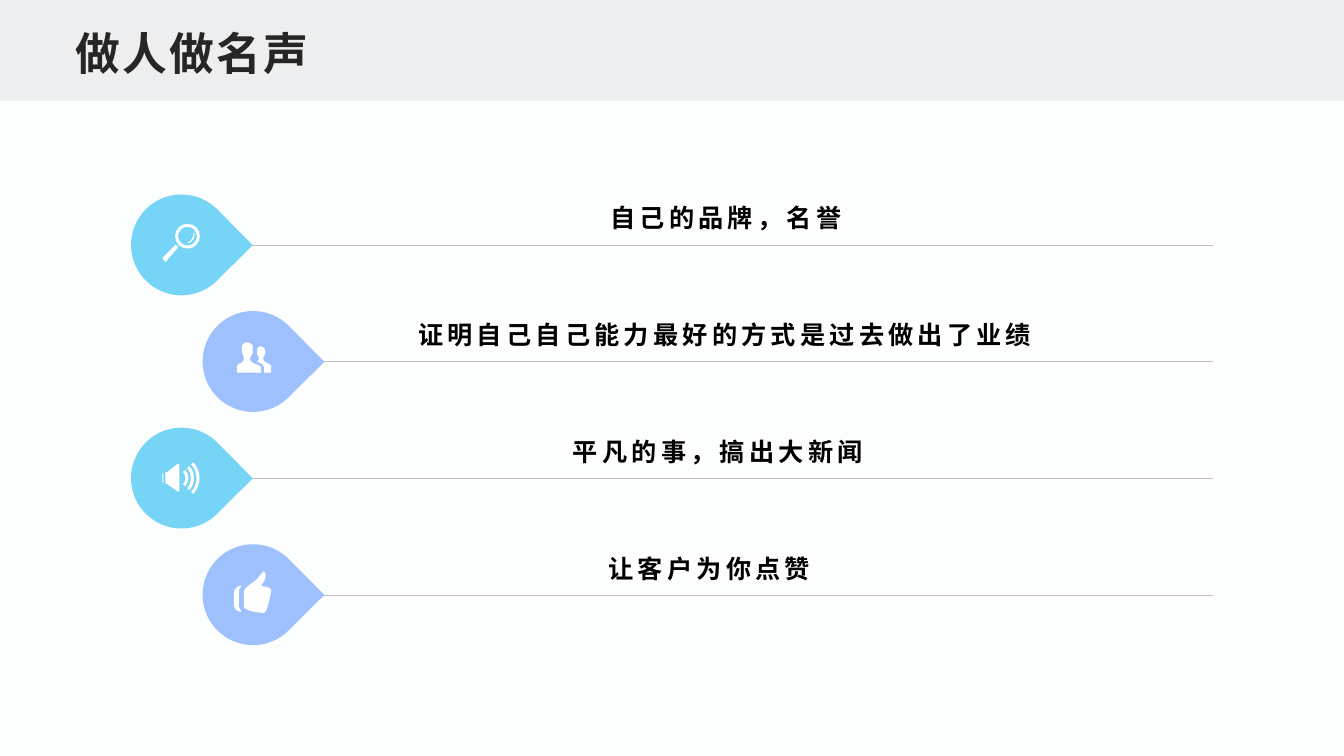
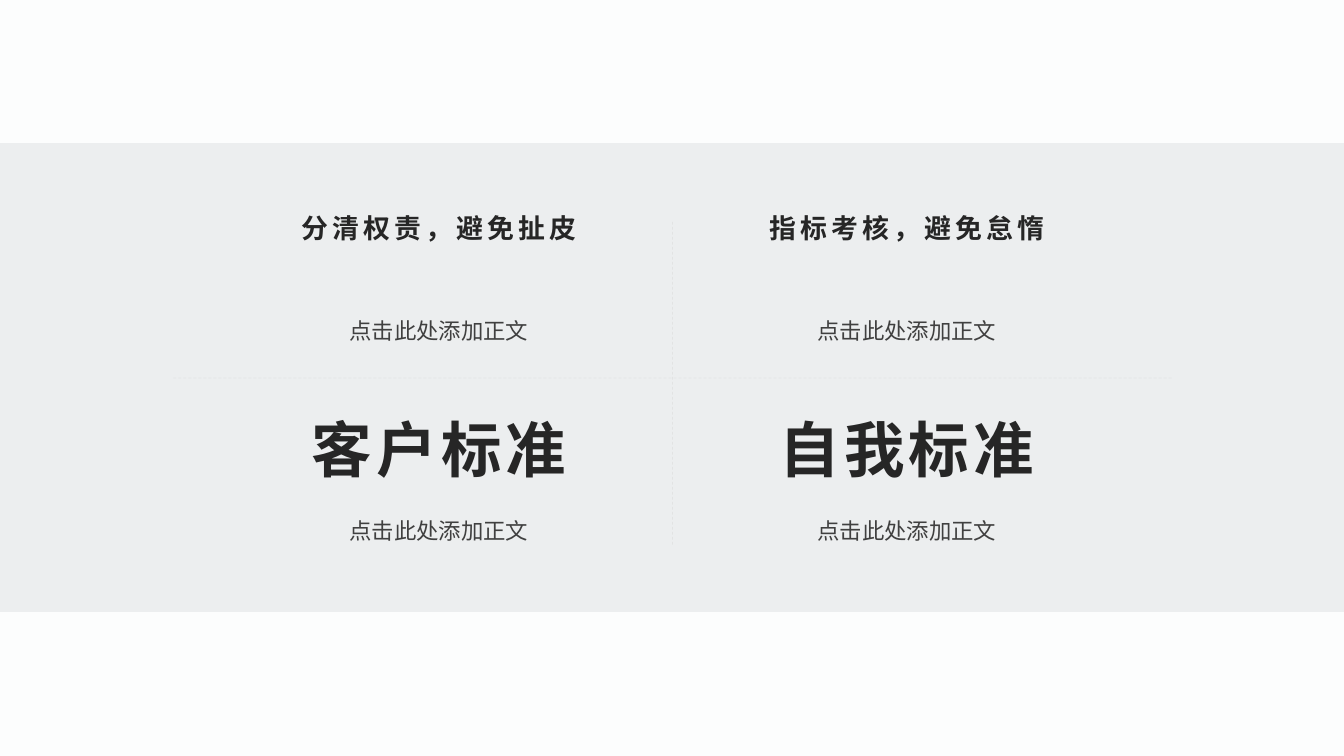
from dataclasses import dataclass
from math import cos, radians, sin, tan

from lxml.etree import SubElement
from pptx import Presentation
from pptx.dml.color import RGBColor as RGB
from pptx.enum.dml import MSO_LINE as Dash
from pptx.enum.lang import MSO_LANGUAGE_ID as Lang
from pptx.enum.shapes import MSO_CONNECTOR as Conn, MSO_SHAPE as Geo
from pptx.enum.text import MSO_ANCHOR as Anchor, MSO_AUTO_SIZE as Auto, PP_ALIGN as Align
from pptx.oxml.ns import qn
from pptx.util import Inches, Pt


@dataclass(frozen=True)
class Style:
    size: float
    color: str
    bold: bool = True
    track: int = 300


@dataclass(frozen=True)
class Theme:
    font: str = "Arial"
    page: str = "FCFDFD"
    band: str = "ECEEEF"
    sky: str = "76D4F6"
    lilac: str = "9EC0FC"
    icon: str = "FFFFFF"
    rule: str = "BFBFBF"
    grid: str = "D9D9D9"
    title: Style = Style(32, "262626", track=150)
    item: Style = Style(18, "000000")
    head: Style = Style(19.2, "262626")
    hero: Style = Style(43.2, "262626")
    body: Style = Style(16, "404040", False, 0)


THEME = Theme()
WIDTH = 13.33


def put_run(para, text, style):
    run = para.add_run()
    run.text = text
    font = run.font
    font.name = THEME.font
    font.size = Pt(style.size)
    font.bold = style.bold
    font.color.rgb = RGB.from_string(style.color)
    font.language_id = Lang.SIMPLIFIED_CHINESE
    props = run._r.get_or_add_rPr()
    props.set("spc", str(style.track))
    SubElement(props, qn("a:ea")).set("typeface", THEME.font)


def add_text(shapes, box, text, style, anchor=Anchor.TOP):
    frame = shapes.add_textbox(*map(Inches, box)).text_frame
    frame.word_wrap = True
    frame.vertical_anchor = anchor
    para = frame.paragraphs[0]
    para.alignment = Align.CENTER
    put_run(para, text, style)
    return para


def paint(shape, color):
    shape.shadow.inherit = False
    shape.fill.solid()
    shape.fill.fore_color.rgb = RGB.from_string(color)
    shape.line.fill.background()
    return shape


def add_shape(slide, geo, box, color):
    return paint(slide.shapes.add_shape(geo, *map(Inches, box)), color)


def add_band(slide, top, height):
    return add_shape(slide, Geo.RECTANGLE, (0, top, WIDTH, height), THEME.band)


def add_line(slide, ends, color, width):
    line = slide.shapes.add_connector(Conn.STRAIGHT, *map(Inches, ends))
    line.line.color.rgb = RGB.from_string(color)
    line.line.width = Pt(width)
    SubElement(line.element.spPr, qn("a:effectLst"))
    return line


def add_dash(slide, ends):
    line = add_line(slide, ends, THEME.grid, 0.5)
    line.line.dash_style = Dash.DASH
    for color in line.element.iter(qn("a:srgbClr")):
        SubElement(color, qn("a:alpha")).set("val", "50000")


def set_title(slide, text):
    title = slide.shapes.title
    title.left, title.top, title.width, title.height = map(Inches, (0.67, 0.16, 12, 0.67))
    frame = title.text_frame
    frame.auto_size = Auto.NONE
    frame.vertical_anchor = Anchor.BOTTOM
    frame.margin_left = frame.margin_right = Inches(0.08)
    frame.margin_top = frame.margin_bottom = Inches(0.04)
    frame.paragraphs[0].alignment = Align.LEFT
    put_run(frame.paragraphs[0], text, THEME.title)


def arc(x, y, size, start, end, count=1):
    step = radians(end - start) / count
    pull = 4 / 3 * tan(step / 4)
    turn = radians(start)
    dots = [(x + size * cos(turn), y + size * sin(turn))]
    for i in range(count):
        a = turn + i * step
        b = a + step
        dots.append((
            x + size * (cos(a) - pull * sin(a)), y + size * (sin(a) + pull * cos(a)),
            x + size * (cos(b) + pull * sin(b)), y + size * (sin(b) - pull * cos(b)),
            x + size * cos(b), y + size * sin(b),
        ))
    return dots


def wave(outer):
    return arc(14, 16, outer, -43, 43) + arc(14, 16, outer - 3, 43, -43)


GLASS = [
    [(13, 21), (16, 23), (3, 38), (0, 34)],
    [(31, 7), (31, 7, 35, 14, 27, 19), (27, 19, 27, 19, 25, 19), (25, 19, 32, 16, 31, 7)],
    arc(25, 12.3, 9.3, 360, 0, 4),
    arc(25, 12.3, 12.3, 0, 360, 4),
]

PEOPLE = [
    [
        (34, 30), (34, 30, 34, 23, 34, 23), (33, 22, 32, 21, 29, 20),
        (27, 19, 26, 18, 26, 16), (26, 15, 27, 15, 27, 13), (27, 12, 28, 13, 28, 11),
        (28, 10, 28, 10, 28, 10), (28, 10, 28, 9, 28, 8), (28, 7, 27, 4, 24, 4),
        (20, 4, 20, 7, 20, 8), (20, 9, 20, 10, 20, 10), (20, 10, 20, 10, 20, 11),
        (20, 13, 20, 12, 21, 13), (21, 15, 22, 15, 22, 16), (22, 17, 21, 18, 20, 19),
        (26, 22, 27, 22, 27, 25), (27, 30, 27, 30, 27, 30),
    ],
    [
        (17, 21), (14, 20, 13, 18, 13, 16), (13, 14, 14, 15, 15, 12),
        (15, 11, 16, 12, 16, 9), (16, 8, 15, 8, 15, 8), (15, 8, 16, 6, 16, 5),
        (16, 4, 15, 0, 10, 0), (6, 0, 5, 4, 5, 5), (5, 6, 5, 8, 5, 8),
        (5, 8, 5, 8, 5, 9), (5, 12, 6, 11, 6, 12), (6, 15, 7, 14, 7, 16),
        (7, 18, 6, 20, 3, 21), (2, 21, 0, 22, 0, 24), (0, 30, 0, 30, 0, 30),
        (24, 30, 24, 30, 24, 30), (24, 30, 24, 26, 24, 25), (24, 24, 21, 22, 17, 21),
    ],
]

SPEAKER = [
    [(1, 11), (1, 11, 1, 11, 1, 21), (0, 21, 0, 20, 0, 20), (0, 18, 0, 15, 0, 13), (0, 12, 0, 11, 1, 11)],
    wave(12),
    wave(17.5),
    [
        (16, 2), (17, 2, 17, 2, 17, 2), (17, 4, 17, 28, 17, 29), (17, 31, 15, 29, 15, 29),
        (15, 29, 15, 29, 5, 22), (5, 22, 4, 22, 3, 21), (3, 21, 3, 21, 3, 10),
        (4, 10, 5, 10, 5, 10), (5, 10, 5, 10, 15, 2), (15, 2, 16, 1, 16, 2),
    ],
    wave(23),
]

THUMB = [
    [
        (27, 16), (27, 15, 35, 8, 30, 2), (29, 0, 25, 9, 20, 12),
        (17, 14, 10, 19, 10, 21), (10, 37, 10, 37, 10, 37), (10, 40, 21, 43, 30, 43),
        (33, 43, 37, 23, 37, 20), (37, 17, 27, 17, 27, 16),
    ],
    [
        (7, 16), (6, 16, 0, 17, 0, 24), (0, 35, 0, 35, 0, 35), (0, 41, 6, 42, 7, 42),
        (9, 42, 5, 40, 5, 37), (5, 22, 5, 22, 5, 22), (5, 18, 9, 16, 7, 16),
    ],
]

ITEMS = [
    ("自己的品牌，名誉", 2.85, 8.7, GLASS, (0.31, -0.21)),
    ("证明自己自己能力最好的方式是过去做出了业绩", 3.56, 7.26, PEOPLE, (0.34, -0.19)),
    ("平凡的事，搞出大新闻", 2.57, 9.1, SPEAKER, (0.31, -0.16)),
    ("让客户为你点赞", 3.56, 6.95, THUMB, (0.31, -0.25)),
]

CELLS = [
    [("分清权责，避免扯皮", THEME.head), ("指标考核，避免怠惰", THEME.head)],
    [("客户标准", THEME.hero), ("自我标准", THEME.hero)],
]


def bend(shape, parts):
    lines = iter(list(shape.element.iter(qn("a:lnTo"))))
    for part in parts:
        group = [next(lines) for i in range(len(part) // 2)]
        if len(group) == 3:
            first = group[0]
            first.tag = qn("a:cubicBezTo")
            for line in group[1:]:
                first.append(line[0])
                line.getparent().remove(line)


def add_icon(slide, left, top, paths):
    form = None
    for path in paths:
        dots = [
            (Inches(part[i] / 100), Inches(part[i + 1] / 100))
            for part in path for i in range(0, len(part), 2)
        ]
        if form is None:
            form = slide.shapes.build_freeform(*dots[0], scale=1.0)
        else:
            form.move_to(*dots[0])
        form.add_line_segments(dots[1:], close=True)
    shape = paint(form.convert_to_shape(Inches(left), Inches(top)), THEME.icon)
    bend(shape, [part for path in paths for part in path[1:]])


def add_item(slide, i, item):
    text, left, width, icon, shift = item
    x = (1.3, 2.01)[i % 2]
    y = 2.43 + i * 3.47 / 3
    add_line(slide, (x + 0.04, y, 12.03, y), THEME.rule, 0.25)
    drop = add_shape(slide, Geo.TEAR, (x, y - 0.5, 1, 1), (THEME.sky, THEME.lilac)[i % 2])
    drop.rotation = 45.2
    add_icon(slide, x + shift[0], y + shift[1], icon)
    add_text(slide.shapes, (left, 1.95 + 1.16 * i, width, 0.42), text, THEME.item, Anchor.MIDDLE)


def add_cell(slide, left, top, text, style):
    shapes = slide.shapes.add_group_shape().shapes
    add_text(shapes, (left, top, 3.57, 0.91), text, style)
    para = add_text(shapes, (left, top + 0.91, 3.57, 0.5), "点击此处添加正文", THEME.body)
    para.line_spacing = 1.5
    para.space_after = Pt(10)


def make_list(deck):
    slide = deck.slides.add_slide(deck.slide_layouts[5])
    band = add_band(slide, 0, 1)
    slide.shapes.title.element.addprevious(band.element)
    set_title(slide, "做人做名声")
    for i, item in enumerate(ITEMS):
        add_item(slide, i, item)


def make_grid(deck):
    slide = deck.slides.add_slide(deck.slide_layouts[6])
    add_band(slide, 1.42, 4.65)
    add_dash(slide, (6.67, 2.2, 6.67, 5.42))
    add_dash(slide, (1.72, 3.75, 11.63, 3.75))
    for top, row in zip((2.05, 4.04), CELLS):
        for left, (text, style) in zip((2.57, 7.21), row):
            add_cell(slide, left, top, text, style)


def main():
    deck = Presentation()
    deck.slide_width, deck.slide_height = Inches(WIDTH), Inches(7.5)
    fill = deck.slide_master.background.fill
    fill.solid()
    fill.fore_color.rgb = RGB.from_string(THEME.page)
    make_list(deck)
    make_grid(deck)
    deck.save("out.pptx")


if __name__ == "__main__":
    main()
